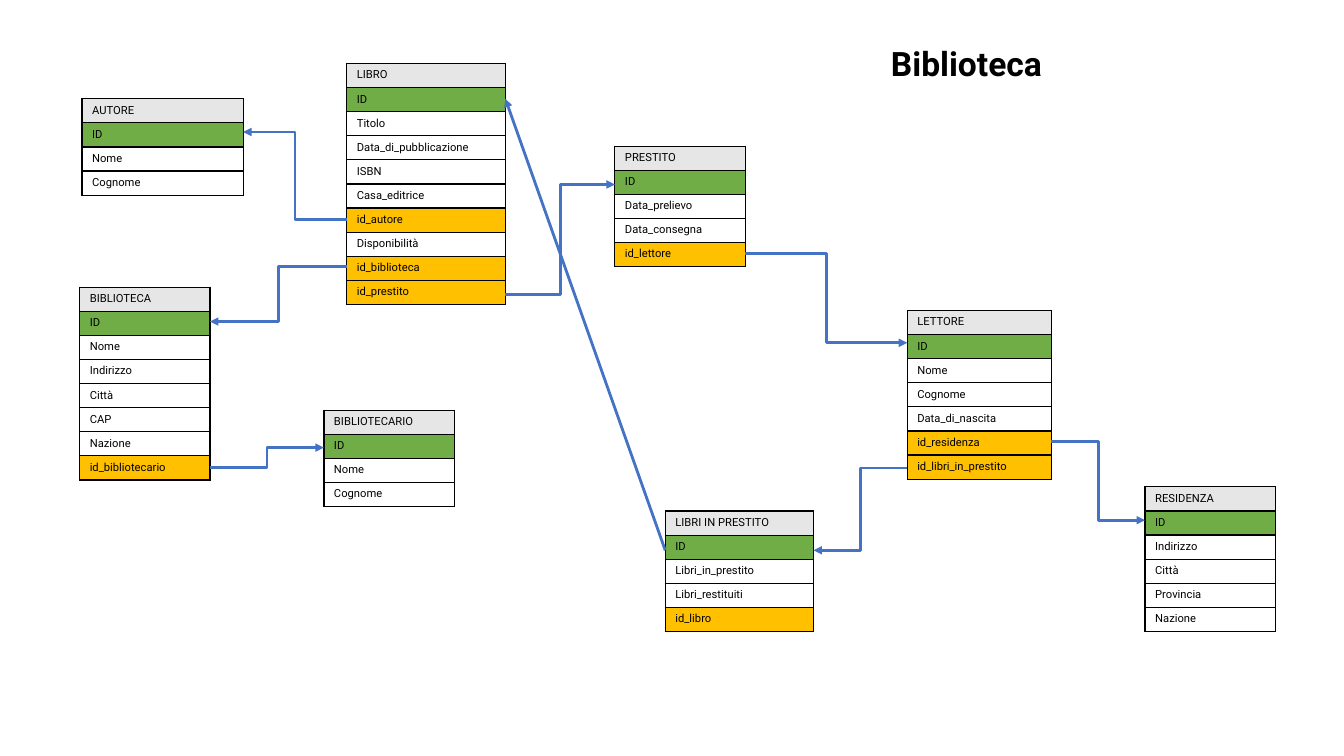
from lxml.etree import SubElement
from pptx import Presentation
from pptx.dml.color import RGBColor
from pptx.enum.shapes import MSO_CONNECTOR as Connector
from pptx.enum.text import MSO_AUTO_SIZE as AutoSize
from pptx.oxml import parse_xml
from pptx.oxml.ns import nsdecls, qn
from pptx.util import Inches, Pt

BLACK = RGBColor(0x00, 0x00, 0x00)
WHITE = RGBColor(0xFF, 0xFF, 0xFF)
HEADER_GREY = RGBColor(0xE7, 0xE6, 0xE6)
KEY_GREEN = RGBColor(0x70, 0xAD, 0x47)
FOREIGN_AMBER = RGBColor(0xFF, 0xC0, 0x00)
LINK_BLUE = RGBColor(0x44, 0x72, 0xC4)
FONT = "Roboto"

presentation = Presentation()
presentation.slide_width = Inches(13.33)
presentation.slide_height = Inches(7.5)
slide = presentation.slides.add_slide(presentation.slide_layouts[6])

COLUMN = presentation.slide_width / 100
LINE = presentation.slide_height / 100
ROW = 3.19 * LINE


def add_run(paragraph, text, size, bold=False):
    run = paragraph.add_run()
    run.text = text
    run.font.name = FONT
    run.font.size = Pt(size)
    run.font.bold = bold
    run.font.color.rgb = BLACK


def add_borders(cell):
    for index, edge in enumerate(("lnL", "lnR", "lnT", "lnB")):
        border = parse_xml(
            f'<a:{edge} {nsdecls("a")} w="{Pt(1)}"><a:solidFill>'
            f'<a:srgbClr val="{BLACK}"/></a:solidFill></a:{edge}>')
        cell._tc.get_or_add_tcPr().insert(index, border)


entities = {
    "RESIDENZA": (85.2, 64.4, 9.7, "ID Indirizzo Città Provincia Nazione"),
    "LETTORE": (67.5, 41.07, 10.73,
                "ID Nome Cognome Data_di_nascita id_residenza id_libri_in_prestito"),
    "LIBRO": (25.8, 8.4, 11.8,
              "ID Titolo Data_di_pubblicazione ISBN Casa_editrice id_autore "
              "Disponibilità id_biblioteca id_prestito"),
    "BIBLIOTECA": (5.93, 38, 9.7,
                   "ID Nome Indirizzo Città CAP Nazione id_bibliotecario"),
    "AUTORE": (6.1, 13.07, 12, "ID Nome Cognome"),
    "BIBLIOTECARIO": (24.1, 54.27, 9.7, "ID Nome Cognome"),
    "PRESTITO": (45.75, 19.33, 9.7, "ID Data_prelievo Data_consegna id_lettore"),
    "LIBRI IN PRESTITO": (49.5, 67.6, 11.03,
                          "ID Libri_in_prestito Libri_restituiti id_libro"),
}

for name, (left, top, width, fields) in entities.items():
    labels = [name] + fields.split()
    table = slide.shapes.add_table(
        len(labels), 1, int(left * COLUMN), int(top * LINE),
        int(width * COLUMN), int(ROW * len(labels))).table
    table.first_row = False
    table.horz_banding = False
    for index, label in enumerate(labels):
        table.rows[index].height = int(ROW)
        cell = table.cell(index, 0)
        cell.fill.solid()
        if index == 0:
            cell.fill.fore_color.rgb = HEADER_GREY
        elif label == "ID":
            cell.fill.fore_color.rgb = KEY_GREEN
        elif label.startswith("id_"):
            cell.fill.fore_color.rgb = FOREIGN_AMBER
        else:
            cell.fill.fore_color.rgb = WHITE
        add_borders(cell)
        add_run(cell.text_frame.paragraphs[0], label, 8)

title = slide.shapes.add_textbox(
    int(65.55 * COLUMN), int(5.07 * LINE), int(16.13 * COLUMN), int(6.67 * LINE))
title.text_frame.word_wrap = True
title.text_frame.auto_size = AutoSize.SHAPE_TO_FIT_TEXT
add_run(title.text_frame.paragraphs[0], "Biblioteca", 24, bold=True)

links = [
    (Connector.ELBOW, "LIBRO", "left", 6.48, "AUTORE", "right", 1.38),
    (Connector.ELBOW, "LIBRO", "left", 8.41, "BIBLIOTECA", "right", 1.42),
    (Connector.ELBOW, "BIBLIOTECA", "right", 7.49, "BIBLIOTECARIO", "left", 1.55),
    (Connector.ELBOW, "LIBRO", "right", 9.58, "PRESTITO", "left", 1.59),
    (Connector.ELBOW, "PRESTITO", "right", 4.44, "LETTORE", "left", 1.34),
    (Connector.ELBOW, "LETTORE", "right", 5.44, "RESIDENZA", "left", 1.38),
    (Connector.ELBOW, "LETTORE", "left", 6.53, "LIBRI IN PRESTITO", "right", 1.63),
    (Connector.STRAIGHT, "LIBRI IN PRESTITO", "left", 1.63, "LIBRO", "right", 1.46),
]

for kind, source, source_side, source_row, target, target_side, target_row in links:
    ends = []
    for name, side, row in ((source, source_side, source_row),
                            (target, target_side, target_row)):
        left, top, width, fields = entities[name]
        edge = left + width if side == "right" else left
        ends += [int(edge * COLUMN), int(top * LINE + row * ROW)]
    connector = slide.shapes.add_connector(kind, *ends)
    connector.line.color.rgb = LINK_BLUE
    connector.line.width = Pt(2)
    SubElement(connector.line._get_or_add_ln(), qn("a:tailEnd"), type="triangle")
    SubElement(connector._element.spPr, qn("a:effectLst"))

presentation.save("out.pptx")
